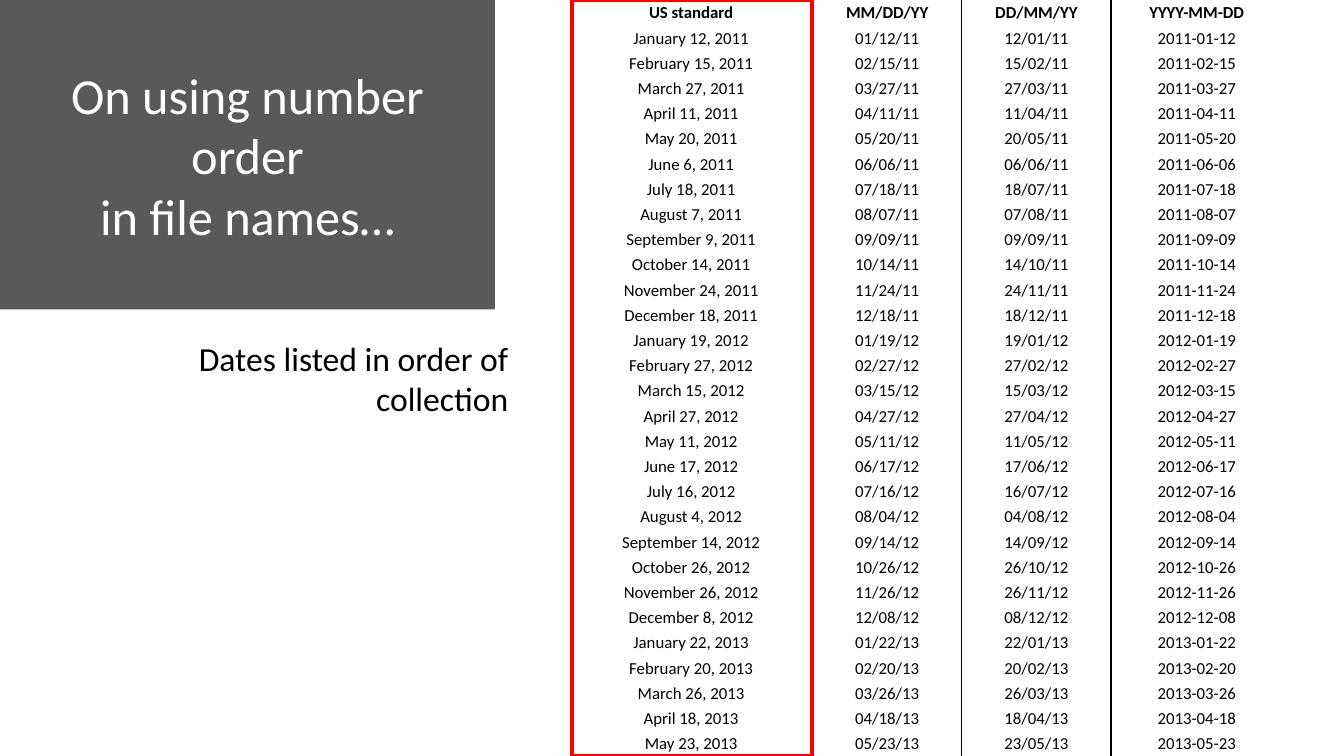
from lxml import etree
from pptx import Presentation
from pptx import util as u
from pptx.dml.color import RGBColor
from pptx.enum import shapes, text
from pptx.oxml.ns import qn

TITLE = "On using number order\nin file names…"
CAPTION = "Dates listed in order of collection"
HEADERS = ("US standard", "MM/DD/YY", "DD/MM/YY", "YYYY-MM-DD")
MONTHS = ("January", "February", "March", "April", "May", "June", "July",
          "August", "September", "October", "November", "December")
FIRST_YEAR = 2011
COLLECTION_DAYS = (
    12, 15, 27, 11, 20, 6, 18, 7, 9, 14, 24, 18,
    19, 27, 15, 27, 11, 17, 16, 4, 14, 26, 26, 8,
    22, 20, 26, 18, 23,
)

FONT = "Calibri"
BLACK = RGBColor(0x00, 0x00, 0x00)
WHITE = RGBColor(0xFF, 0xFF, 0xFF)
GRAY = RGBColor(0x59, 0x59, 0x59)
RED = RGBColor(0xFF, 0x00, 0x00)
PLAIN_TABLE_STYLE = "{2D5ABB26-0587-4C30-8999-92F81FD0307C}"

WIDTH, HEIGHT = 13.33, 7.5
TABLE_LEFT = 5.65
COLUMN_WIDTHS = (2.41, 1.48, 1.48, 1.7)
COLUMN_BORDERS = (("a:lnR",), ("a:lnL", "a:lnR"), ("a:lnL", "a:lnR"), ("a:lnL",))
TITLE_BOX = (0, 0, 4.91, 3.07)
CAPTION_BOX = (0.81, 3.3, 4.33, 0.91)
HIGHLIGHT_BOX = (5.67, 0, 2.38, HEIGHT)


def inches(box):
    return [u.Inches(length) for length in box]


def date_row(position, day):
    year, month = FIRST_YEAR + position // 12, position % 12 + 1
    short = year % 100
    return (f"{MONTHS[month - 1]} {day}, {year}",
            f"{month:02}/{day:02}/{short}",
            f"{day:02}/{month:02}/{short}",
            f"{year}-{month:02}-{day:02}")


def write(text_frame, content, size, color, alignment, bold=False):
    text_frame.word_wrap = True
    paragraph = text_frame.paragraphs[0]
    paragraph.text = content
    paragraph.alignment = alignment
    for run in paragraph.runs:
        run.font.name = FONT
        run.font.size = u.Pt(size)
        run.font.bold = bold
        run.font.color.rgb = color


def add_border(cell, side):
    line = etree.SubElement(cell._tc.get_or_add_tcPr(), qn(side), w=str(u.Pt(1)))
    fill = etree.SubElement(line, qn("a:solidFill"))
    etree.SubElement(fill, qn("a:srgbClr"), val=str(BLACK))


def add_date_table(slide):
    rows = [HEADERS] + [date_row(*item) for item in enumerate(COLLECTION_DAYS)]
    box = inches((TABLE_LEFT, 0, sum(COLUMN_WIDTHS), HEIGHT))
    table = slide.shapes.add_table(len(rows), len(HEADERS), *box).table
    table.horz_banding = False
    table.first_row = False
    table._tbl.tblPr.find(qn("a:tableStyleId")).text = PLAIN_TABLE_STYLE
    for column, width in zip(table.columns, COLUMN_WIDTHS):
        column.width = u.Inches(width)
    for row_index, row in enumerate(rows):
        for column_index, content in enumerate(row):
            cell = table.cell(row_index, column_index)
            cell.margin_left = cell.margin_right = u.Inches(0.02)
            cell.margin_top, cell.margin_bottom = u.Inches(0.01), 0
            cell.vertical_anchor = text.MSO_ANCHOR.MIDDLE
            write(cell.text_frame, content, 12, BLACK,
                  text.PP_ALIGN.CENTER, row_index == 0)
            for side in COLUMN_BORDERS[column_index]:
                add_border(cell, side)
            cell.fill.background()


def add_rectangle(slide, box):
    shape = slide.shapes.add_shape(shapes.MSO_SHAPE.RECTANGLE, *inches(box))
    shape.shadow.inherit = False
    return shape


def main():
    presentation = Presentation()
    presentation.slide_width = u.Inches(WIDTH)
    presentation.slide_height = u.Inches(HEIGHT)
    slide = presentation.slides.add_slide(presentation.slide_layouts[6])

    add_date_table(slide)

    caption = slide.shapes.add_textbox(*inches(CAPTION_BOX))
    write(caption.text_frame, CAPTION, 24, BLACK, text.PP_ALIGN.RIGHT)

    title = add_rectangle(slide, TITLE_BOX)
    title.fill.solid()
    title.fill.fore_color.rgb = GRAY
    title.line.fill.background()
    title.text_frame.margin_left = title.text_frame.margin_right = u.Inches(0.2)
    title.text_frame.vertical_anchor = text.MSO_ANCHOR.MIDDLE
    write(title.text_frame, TITLE, 36, WHITE, text.PP_ALIGN.CENTER)

    highlight = add_rectangle(slide, HIGHLIGHT_BOX)
    highlight.fill.background()
    highlight.line.color.rgb = RED
    highlight.line.width = u.Pt(3)

    presentation.save("out.pptx")


if __name__ == "__main__":
    main()
